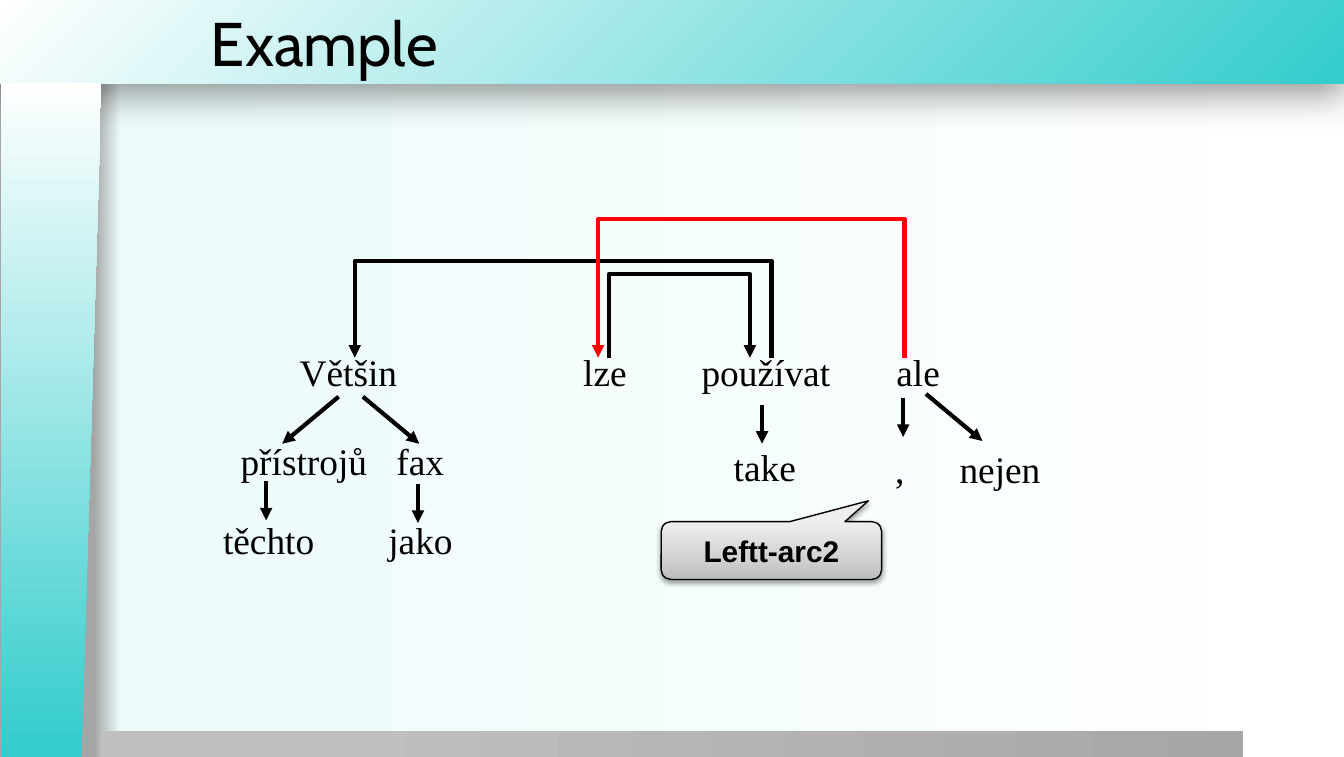
from dataclasses import dataclass

from lxml import etree
from pptx import Presentation
from pptx import util as u
from pptx.dml.color import RGBColor
from pptx.enum import shapes, text
from pptx.oxml.ns import qn


@dataclass(frozen=True)
class Theme:
    ink: str = "000000"
    accent: str = "FF0000"
    teal: str = "34CCCC"
    white: str = "FFFFFF"
    page: tuple = ((7, "A6A6A6"), (9, "EDFBFB"), (100, "FFFFFF"))
    footer: tuple = ((20, "BFBFBF"), (100, "A7A7A7"))
    callout: tuple = ((0, "BDBDBD"), (35, "D1D1D1"), (100, "EEEEEE"))
    title_font: str = "Cabin"
    word_font: str = "Times New Roman"
    label_font: str = "Arial"
    title_size: float = 33
    word_size: float = 20
    label_size: float = 16
    arrow_width: float = 2.25
    outline_width: float = 0.75


def child(parent, tag, **attrs):
    return etree.SubElement(parent, qn(tag), {k: str(v) for k, v in attrs.items()})


class TreeSlide:
    COLUMNS = 100

    def __init__(self, prs, theme):
        self.theme = theme
        self.cell = prs.slide_width / self.COLUMNS
        self.s = prs.slides.add_slide(prs.slide_layouts[6])

    def grid(self, *cells):
        return [u.Emu(round(c * self.cell)) for c in cells]

    def gradient(self, owner, fill, stops, angle=0, focus=None):
        fill.gradient()
        grad = owner.find(".//" + qn("a:gradFill"))
        for old in list(grad):
            grad.remove(old)
        stop_list = child(grad, "a:gsLst")
        for share, color in stops:
            stop = child(stop_list, "a:gs", pos=share * 1000)
            child(stop, "a:srgbClr", val=color)
        if focus:
            route = child(grad, "a:path", path="circle")
            child(route, "a:fillToRect", **{k: v * 1000 for k, v in focus.items()})
        else:
            child(grad, "a:lin", ang=angle * 60000, scaled=0)

    def background(self, stops):
        self.gradient(self.s.element, self.s.background.fill, stops)

    def panel(self, kind, box, stops, angle=0, focus=None):
        sp = self.s.shapes.add_shape(kind, *self.grid(*box))
        sp.shadow.inherit = False
        sp.line.fill.background()
        self.gradient(sp.element, sp.fill, stops, angle, focus)
        return sp

    def shadow(self, sp, opacity, blur, distance):
        effects = sp.element.spPr.find(qn("a:effectLst"))
        outer = child(effects, "a:outerShdw", blurRad=u.Pt(blur), dist=u.Pt(distance),
                      dir=90 * 60000, algn="t", rotWithShape=0)
        color = child(outer, "a:srgbClr", val=self.theme.ink)
        child(color, "a:alpha", val=opacity * 1000)

    def add_text(self, p, words, font, size, bold=False):
        r = p.add_run()
        r.text = words
        r.font.name, r.font.size, r.font.bold = font, u.Pt(size), bold
        r.font.color.rgb = RGBColor.from_string(self.theme.ink)

    def textbox(self, box):
        tf = self.s.shapes.add_textbox(*self.grid(*box)).text_frame
        tf.word_wrap = True
        tf.margin_left = tf.margin_right = tf.margin_top = tf.margin_bottom = 0
        return tf

    def title(self, box, words):
        tf = self.textbox(box)
        tf.vertical_anchor = text.MSO_ANCHOR.MIDDLE
        self.add_text(tf.paragraphs[0], words, self.theme.title_font, self.theme.title_size)

    def word_row(self, top, width, *words):
        left = words[0][0]
        p = self.textbox((left, top, width, 3)).paragraphs[0]
        tabs = child(p._p.get_or_add_pPr(), "a:tabLst")
        for column, _ in words[1:]:
            child(tabs, "a:tab", pos=self.grid(column - left)[0], algn="l")
        self.add_text(p, "\t".join(word for _, word in words),
                      self.theme.word_font, self.theme.word_size)

    def arrow_style(self, sp, color):
        sp.line.color.rgb = RGBColor.from_string(color)
        sp.line.width = u.Pt(self.theme.arrow_width)
        child(sp.element.find(".//" + qn("a:ln")), "a:tailEnd", type="triangle")

    def branch(self, x1, y1, x2, y2):
        line = self.s.shapes.add_connector(shapes.MSO_CONNECTOR.STRAIGHT,
                                           *self.grid(x1, y1, x2, y2))
        self.arrow_style(line, self.theme.ink)
        child(line.element.spPr, "a:effectLst")

    def arc(self, start, end, top, color, base=26.6):
        points = [self.grid(*pt) for pt in
                  ((start, base), (start, top), (end, top), (end, base))]
        outline = self.s.shapes.build_freeform(*points[0], scale=1.0)
        outline.add_line_segments(points[1:], close=False)
        sp = outline.convert_to_shape()
        sp.shadow.inherit = False
        sp.fill.background()
        self.arrow_style(sp, color)

    def callout(self, box, words, adjustments):
        t = self.theme
        sp = self.panel(shapes.MSO_SHAPE.ROUNDED_RECTANGULAR_CALLOUT, box, t.callout, 270)
        for i, value in enumerate(adjustments):
            sp.adjustments[i] = value
        sp.line.color.rgb = RGBColor.from_string(t.ink)
        sp.line.width = u.Pt(t.outline_width)
        self.shadow(sp, 38, 3.1, 1.6)
        tf = sp.text_frame
        tf.vertical_anchor = text.MSO_ANCHOR.MIDDLE
        p = tf.paragraphs[0]
        p.alignment = text.PP_ALIGN.CENTER
        self.add_text(p, words, t.label_font, t.label_size, True)


def main():
    prs = Presentation()
    prs.slide_width, prs.slide_height = u.Inches(10), u.Inches(5.63)
    t = Theme()
    s = TreeSlide(prs, t)

    s.background(t.page)
    header = s.panel(shapes.MSO_SHAPE.RECTANGLE, (0, 0, 100, 6.2),
                     ((0, t.teal), (100, t.white)), focus={"l": 100, "t": 100})
    s.shadow(header, 40, 20, 6)
    s.panel(shapes.MSO_SHAPE.RECTANGLE, (7.5, 54.4, 85, 1.9), t.footer)
    side = s.panel(shapes.MSO_SHAPE.FLOWCHART_MANUAL_INPUT, (-21.3, 27.5, 50.2, 7.5),
                   ((1, t.teal), (100, t.white)))
    side.rotation = 270
    side.element.spPr.find(qn("a:xfrm")).set("flipV", "1")
    s.title((15.7, 0.1, 80, 6.1), "Example")

    for start, end, top, color in ((45.3, 55.8, 20.4, t.ink),
                                   (57.4, 26.4, 19.4, t.ink),
                                   (67.3, 44.5, 16.3, t.accent)):
        s.arc(start, end, top, color)

    s.word_row(26, 49, (22.3, "Většin"), (43.4, "lze"), (52.2, "používat"), (66.7, "ale"))
    s.word_row(32.6, 18, (17.9, "přístrojů"), (29.5, "fax"))
    s.word_row(38.5, 19, (16.6, "těchto"), (28.9, "jako"))
    s.word_row(33, 8, (54.6, "take"))
    s.word_row(33.2, 13, (66.6, ","), (71.4, "nejen"))

    for x, y in ((31.1, 36), (19.8, 35.8), (67.2, 29.6), (56.7, 30.1)):
        s.branch(x, y, x, y + 2.9)
    for x, y, run in ((68.9, 29.3, 4.2), (27, 29.5, 4.2), (25.2, 29.5, -4.2)):
        s.branch(x, y, x + run, y + 3.5)

    s.callout((49.2, 38.8, 16.4, 4.3), "Leftt-arc2", (0.44, -0.86, 0.17))
    prs.save("out.pptx")


if __name__ == "__main__":
    main()
